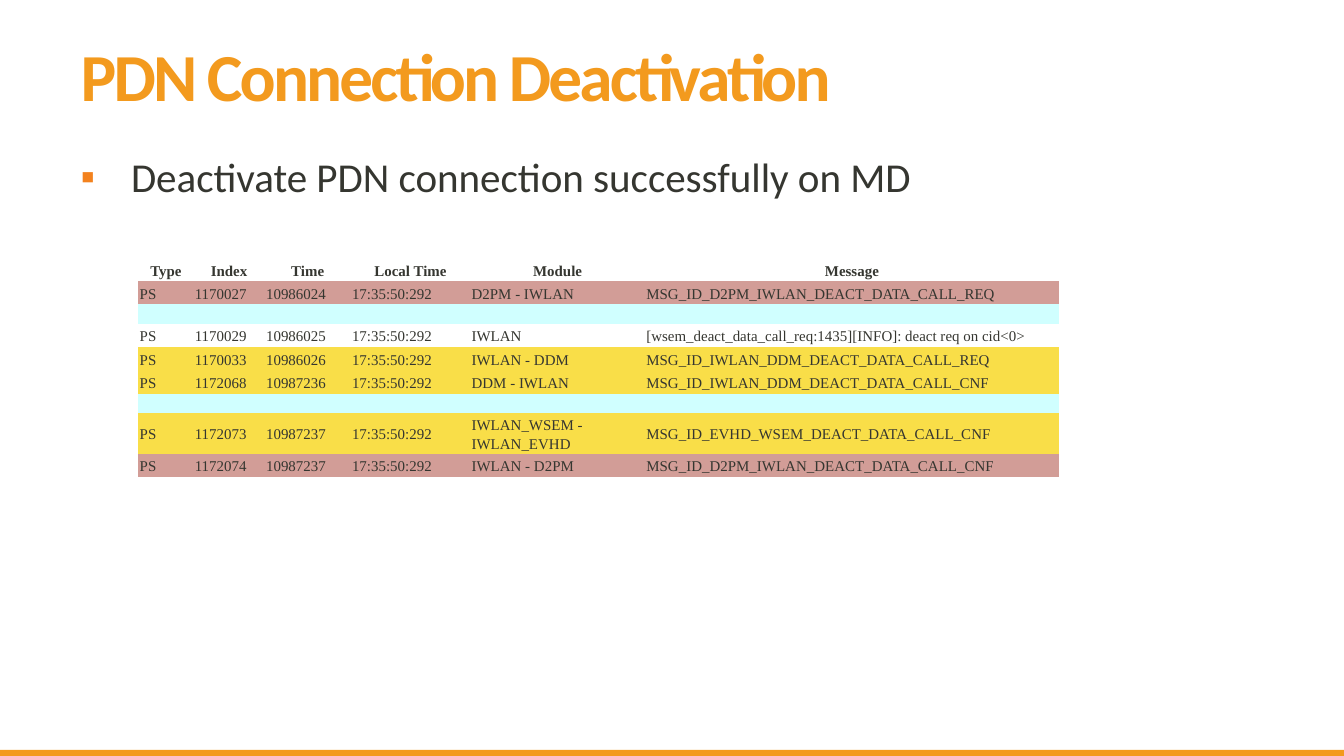
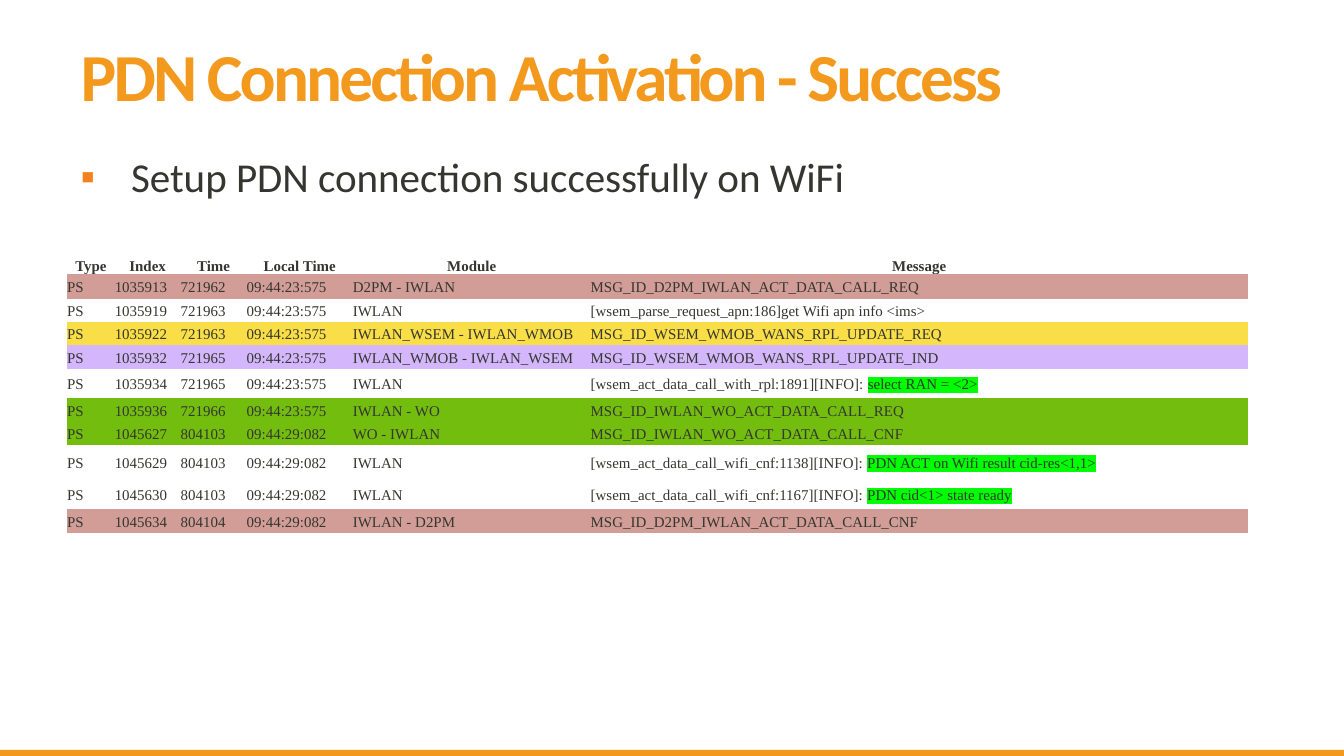
from dataclasses import dataclass

from lxml import etree
from pptx import Presentation
from pptx.dml.color import RGBColor
from pptx.enum.shapes import MSO_SHAPE
from pptx.enum.text import MSO_ANCHOR, MSO_AUTO_SIZE, PP_ALIGN
from pptx.oxml.ns import qn
from pptx.slide import Slide, SlideLayout
from pptx.table import _Cell as Cell
from pptx.text.text import _Paragraph as Paragraph, _Run as Run
from pptx.util import Emu, Inches, Pt

RECTANGLE = MSO_SHAPE.RECTANGLE
MIDDLE, TOP = MSO_ANCHOR.MIDDLE, MSO_ANCHOR.TOP
LEFT, CENTER = PP_ALIGN.LEFT, PP_ALIGN.CENTER
NO_AUTOFIT = MSO_AUTO_SIZE.NONE

# Widescreen slide on a grid of 100 columns by 56.25 rows
SLIDE_WIDTH = Inches(10)
SLIDE_HEIGHT = Emu(SLIDE_WIDTH * 9 // 16)
GRID_COLUMNS, GRID_ROWS = 100, 56.25

COLORS = {
    "orange": "F39A1E",
    "bullet": "F3821E",
    "text": "353630",
    "rose": "D29D97",
    "cyan": "D0FFFF",
    "yellow": "F9DE48",
    "violet": "D3B6FC",
    "green": "73BD0F",
    "highlight": "00FF00",
}
HEADING_FONT, LOG_FONT = "Calibri", "Times New Roman"
PLAIN_TABLE_STYLE = "{2D5ABB26-0587-4C30-8999-92F81FD0307C}"
HEADINGS = ("Type", "Index", "Time", "Local Time", "Module", "Message")


@dataclass(frozen=True)
class Box:
    """A place on the grid, in columns and rows."""
    left: float
    top: float
    width: float
    height: float


@dataclass(frozen=True)
class LogRow:
    height: float
    fill: str = ""
    index: str = ""
    time: str = ""
    local_time: str = ""
    module: str = ""
    message: str = ""
    highlight: str = ""

    def texts(self) -> tuple[str, ...]:
        kind = "PS" if self.index else ""
        return kind, self.index, self.time, self.local_time, self.module, self.message


@dataclass(frozen=True)
class LogSlide:
    title: str
    bullet: str
    box: Box
    column_widths: tuple[float, ...]
    header_height: float
    cell_margin: float
    rows: tuple[LogRow, ...]


TITLE_BOX = Box(5, 1.45, 90, 9.3)
BODY_BOX = Box(5, 10.75, 90, 39.7)
BAND_BOX = Box(0, 55.8, 100, 0.45)

LINE, GAP = 1.74, 0.6
DEACTIVATED, STARTED, FINISHED = "17:35:50:292", "09:44:23:575", "09:44:29:082"

LOG_SLIDES = (
    LogSlide(
        "PDN Connection Deactivation",
        "Deactivate PDN connection successfully on MD",
        Box(10.3, 19.3, 68.5, 17), (4.1, 5.3, 6.4, 8.9, 13, 30.8), GAP, 0.1,
        (
            LogRow(LINE, "rose", "1170027", "10986024", DEACTIVATED, "D2PM - IWLAN",
                   "MSG_ID_D2PM_IWLAN_DEACT_DATA_CALL_REQ"),
            LogRow(GAP, "cyan"),
            LogRow(LINE, "", "1170029", "10986025", DEACTIVATED, "IWLAN",
                   "[wsem_deact_data_call_req:1435][INFO]: deact req on cid<0>"),
            LogRow(LINE, "yellow", "1170033", "10986026", DEACTIVATED, "IWLAN - DDM",
                   "MSG_ID_IWLAN_DDM_DEACT_DATA_CALL_REQ"),
            LogRow(LINE, "yellow", "1172068", "10987236", DEACTIVATED, "DDM - IWLAN",
                   "MSG_ID_IWLAN_DDM_DEACT_DATA_CALL_CNF"),
            LogRow(GAP, "cyan"),
            LogRow(LINE, "yellow", "1172073", "10987237", DEACTIVATED,
                   "IWLAN_WSEM - IWLAN_EVHD", "MSG_ID_EVHD_WSEM_DEACT_DATA_CALL_CNF"),
            LogRow(LINE, "rose", "1172074", "10987237", DEACTIVATED, "IWLAN - D2PM",
                   "MSG_ID_D2PM_IWLAN_DEACT_DATA_CALL_CNF"),
        ),
    ),
    LogSlide(
        "PDN Connection Activation - Success",
        "Setup PDN connection successfully on WiFi",
        Box(5, 19, 87.8, 20.7), (3.54, 4.9, 4.92, 7.9, 17.7, 48.9), 1.1, 0,
        (
            LogRow(1.8, "rose", "1035913", "721962", STARTED, "D2PM - IWLAN",
                   "MSG_ID_D2PM_IWLAN_ACT_DATA_CALL_REQ"),
            LogRow(LINE, "", "1035919", "721963", STARTED, "IWLAN",
                   "[wsem_parse_request_apn:186]get Wifi apn info <ims>"),
            LogRow(LINE, "yellow", "1035922", "721963", STARTED,
                   "IWLAN_WSEM - IWLAN_WMOB", "MSG_ID_WSEM_WMOB_WANS_RPL_UPDATE_REQ"),
            LogRow(LINE, "violet", "1035932", "721965", STARTED,
                   "IWLAN_WMOB - IWLAN_WSEM", "MSG_ID_WSEM_WMOB_WANS_RPL_UPDATE_IND"),
            LogRow(2.2, "", "1035934", "721965", STARTED, "IWLAN",
                   "[wsem_act_data_call_with_rpl:1891][INFO]: ", "select RAN = <2>"),
            LogRow(LINE, "green", "1035936", "721966", STARTED, "IWLAN - WO",
                   "MSG_ID_IWLAN_WO_ACT_DATA_CALL_REQ"),
            LogRow(LINE, "green", "1045627", "804103", FINISHED, "WO - IWLAN",
                   "MSG_ID_IWLAN_WO_ACT_DATA_CALL_CNF"),
            LogRow(2.6, "", "1045629", "804103", FINISHED, "IWLAN",
                   "[wsem_act_data_call_wifi_cnf:1138][INFO]: ",
                   "PDN ACT on Wifi result cid-res<1,1>"),
            LogRow(2.2, "", "1045630", "804103", FINISHED, "IWLAN",
                   "[wsem_act_data_call_wifi_cnf:1167][INFO]: ", "PDN cid<1> state ready"),
            LogRow(LINE, "rose", "1045634", "804104", FINISHED, "IWLAN - D2PM",
                   "MSG_ID_D2PM_IWLAN_ACT_DATA_CALL_CNF"),
        ),
    ),
)


# Grid and text helpers
def across(columns: float) -> Emu:
    return Emu(round(SLIDE_WIDTH * columns / GRID_COLUMNS))


def down(rows: float) -> Emu:
    return Emu(round(SLIDE_HEIGHT * rows / GRID_ROWS))


def place(box: Box) -> tuple[Emu, Emu, Emu, Emu]:
    return across(box.left), down(box.top), across(box.width), down(box.height)


def color(name: str) -> RGBColor:
    return RGBColor.from_string(COLORS[name])


def add_color(parent: etree._Element, tag: str, name: str) -> None:
    holder = etree.SubElement(parent, qn(tag))
    etree.SubElement(holder, qn("a:srgbClr"), val=COLORS[name])


def add_run(paragraph: Paragraph, text: str, size: float, font: str, color_name: str = "text",
            bold: bool = False, highlight: bool = False) -> Run:
    run = paragraph.add_run()
    run.text = text
    run.font.size = Pt(size)
    run.font.bold = bold
    run.font.color.rgb = color(color_name)
    if highlight:
        add_color(run._r.get_or_add_rPr(), "a:highlight", "highlight")
    run.font.name = font
    return run


# Shared parts of the slides
def set_layout(layout: SlideLayout) -> None:
    for placeholder, box, anchor in zip(layout.placeholders, (TITLE_BOX, BODY_BOX), (MIDDLE, TOP)):
        placeholder.left, placeholder.top, placeholder.width, placeholder.height = place(box)
        placeholder.text_frame.vertical_anchor = anchor


def add_band(slide: Slide, layout: SlideLayout) -> None:
    band = slide.shapes.add_shape(RECTANGLE, *place(BAND_BOX))
    band.shadow.inherit = False
    band.fill.solid()
    band.fill.fore_color.rgb = color("orange")
    band.line.fill.background()
    layout.shapes.element.append(band.element)


def add_title(slide: Slide, text: str) -> None:
    frame = slide.shapes.title.text_frame
    frame.auto_size = NO_AUTOFIT
    paragraph = frame.paragraphs[0]
    paragraph.alignment = LEFT
    paragraph.line_spacing = 0.8
    run = add_run(paragraph, text, 36, HEADING_FONT, "orange", bold=True)
    run._r.get_or_add_rPr().set("spc", "-150")


def add_bullet(slide: Slide, text: str) -> None:
    frame = slide.placeholders[1].text_frame
    frame.auto_size = NO_AUTOFIT
    paragraph = frame.paragraphs[0]
    add_run(paragraph, text, 22, HEADING_FONT)
    properties = paragraph._p.get_or_add_pPr()
    indent = across(3.75)
    properties.set("marL", str(indent))
    properties.set("indent", str(-indent))
    spacing = etree.SubElement(properties, qn("a:spcBef"))
    etree.SubElement(spacing, qn("a:spcPct"), val="20000")
    add_color(properties, "a:buClr", "bullet")
    etree.SubElement(properties, qn("a:buChar"), char="▪")


# Log table
def fill_cell(cell: Cell, text: str, margin: float, fill: str = "",
              heading: bool = False, highlight: str = "") -> None:
    cell.vertical_anchor = MIDDLE
    cell.margin_left = cell.margin_right = across(margin)
    cell.margin_top = cell.margin_bottom = down(margin)
    if fill:
        cell.fill.solid()
        cell.fill.fore_color.rgb = color(fill)
    else:
        cell.fill.background()
    paragraph = cell.text_frame.paragraphs[0]
    paragraph.alignment = CENTER if heading else LEFT
    paragraph.line_spacing = 1.15
    if text:
        add_run(paragraph, text, 8, LOG_FONT, bold=heading)
    else:
        end = etree.SubElement(paragraph._p, qn("a:endParaRPr"), sz="800")
        etree.SubElement(end, qn("a:latin"), typeface=LOG_FONT)
    if highlight:
        add_run(paragraph, highlight, 8, LOG_FONT, highlight=True)


def add_log_table(slide: Slide, log: LogSlide) -> None:
    frame = slide.shapes.add_table(len(log.rows) + 1, len(HEADINGS), *place(log.box))
    table = frame.table
    table.first_row = table.horz_banding = False
    frame.element.find(".//" + qn("a:tableStyleId")).text = PLAIN_TABLE_STYLE
    for column, width in zip(table.columns, log.column_widths):
        column.width = across(width)
    table.rows[0].height = down(log.header_height)
    for cell, heading in zip(table.rows[0].cells, HEADINGS):
        fill_cell(cell, heading, log.cell_margin, heading=True)
    for row_number, row in enumerate(log.rows, start=1):
        table.rows[row_number].height = down(row.height)
        for column_number, text in enumerate(row.texts()):
            is_message = column_number == len(HEADINGS) - 1
            fill_cell(table.cell(row_number, column_number), text, log.cell_margin, row.fill,
                      highlight=row.highlight if is_message else "")
    frame.height = down(log.box.height)


def main() -> None:
    presentation = Presentation()
    presentation.slide_width, presentation.slide_height = SLIDE_WIDTH, SLIDE_HEIGHT
    layout = presentation.slide_layouts[1]
    set_layout(layout)
    for number, log in enumerate(LOG_SLIDES):
        slide = presentation.slides.add_slide(layout)
        if number == 0:
            add_band(slide, layout)
        add_title(slide, log.title)
        add_bullet(slide, log.bullet)
        add_log_table(slide, log)
    presentation.save("out.pptx")


if __name__ == "__main__":
    main()
